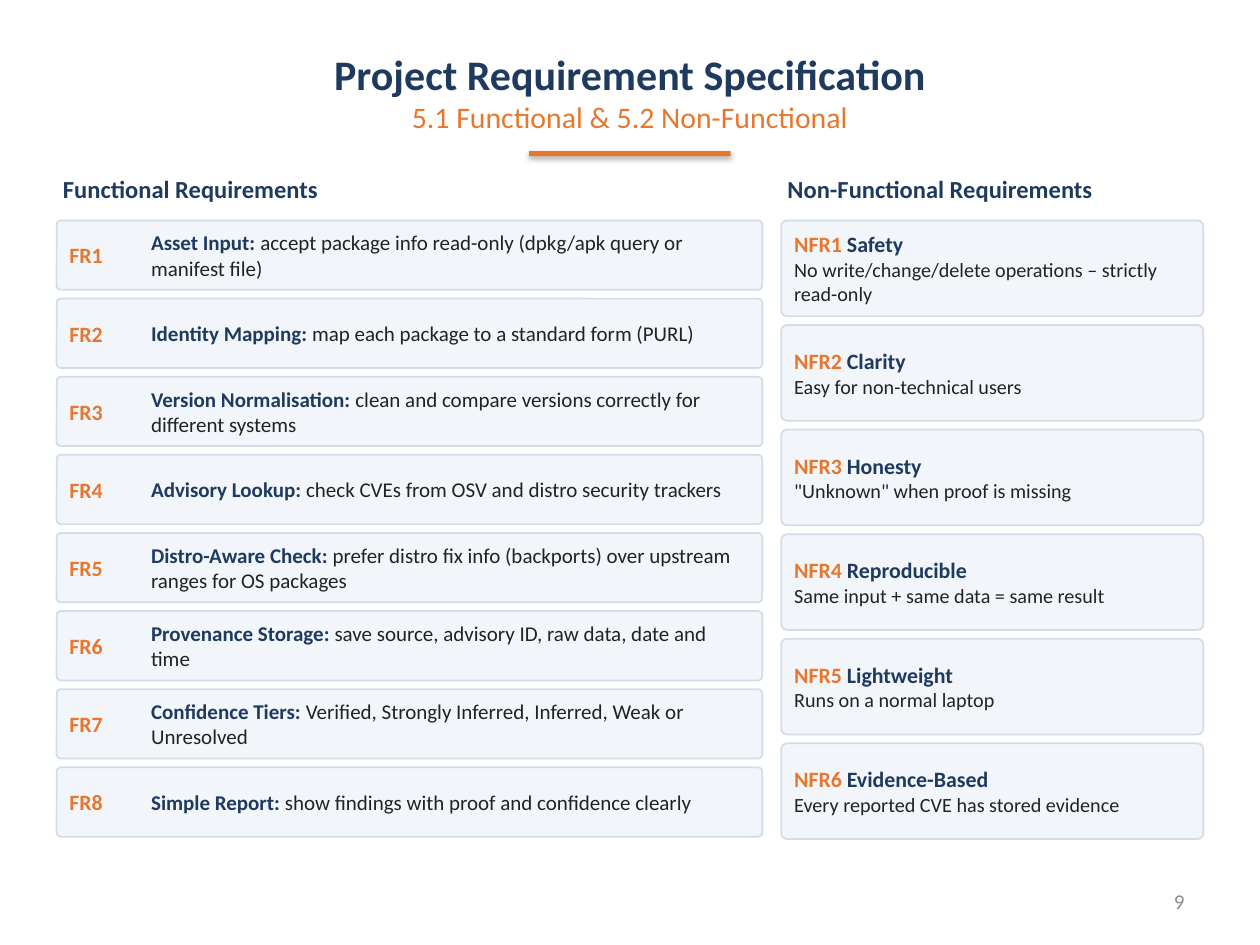
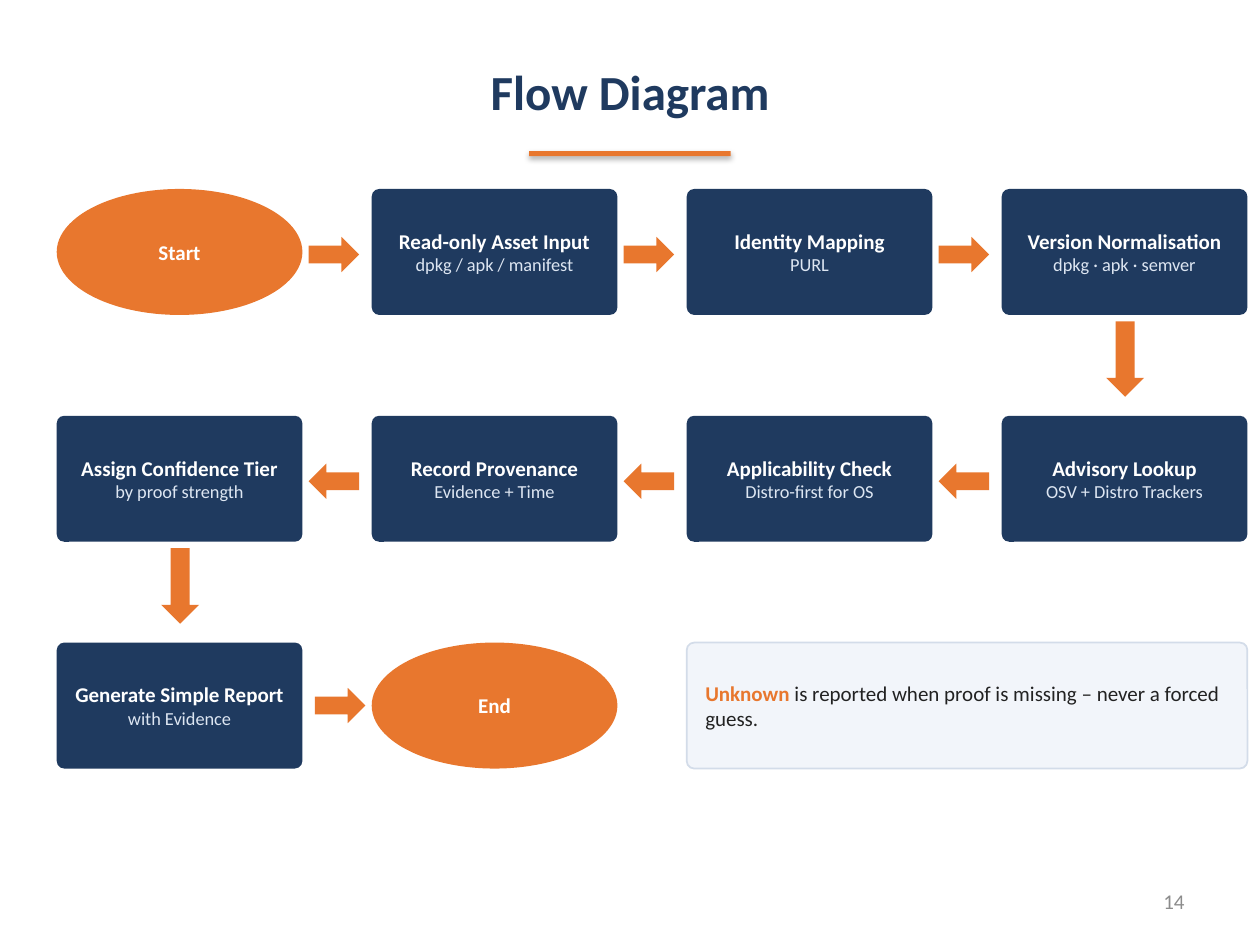
import pptx
import pptx.dml.color
import pptx.enum.shapes
import pptx.enum.text
import pptx.util

PX = 9144  # 100 px to the inch
FONT = "Calibri"
NAVY, ORANGE, WHITE = "1F3A5F", "E8772E", "FFFFFF"
INK, GREY, PALE_BLUE = "222222", "8C8C8C", "DDE6F2"
CARD_FILL, CARD_LINE = "F2F5FA", "D3DCE9"

SHAPES = pptx.enum.shapes.MSO_SHAPE
ALIGN = pptx.enum.text.PP_ALIGN
ANCHOR = pptx.enum.text.MSO_ANCHOR
TIGHT = (5, 3, 5, 3)

FUNCTIONAL = [
    ("Asset Input", "accept package info read-only (dpkg/apk query or manifest file)"),
    ("Identity Mapping", "map each package to a standard form (PURL)"),
    ("Version Normalisation", "clean and compare versions correctly for different systems"),
    ("Advisory Lookup", "check CVEs from OSV and distro security trackers"),
    ("Distro-Aware Check", "prefer distro fix info (backports) over upstream ranges for OS packages"),
    ("Provenance Storage", "save source, advisory ID, raw data, date and time"),
    ("Confidence Tiers", "Verified, Strongly Inferred, Inferred, Weak or Unresolved"),
    ("Simple Report", "show findings with proof and confidence clearly"),
]
NON_FUNCTIONAL = [
    ("Safety", "No write/change/delete operations – strictly read-only"),
    ("Clarity", "Easy for non-technical users"),
    ("Honesty", '"Unknown" when proof is missing'),
    ("Reproducible", "Same input + same data = same result"),
    ("Lightweight", "Runs on a normal laptop"),
    ("Evidence-Based", "Every reported CVE has stored evidence"),
]
# Each step: column, row, heading, detail (no detail marks a start or end point)
STEPS = [
    (0, 0, "Start", None),
    (1, 0, "Read-only Asset Input", "dpkg / apk / manifest"),
    (2, 0, "Identity Mapping", "PURL"),
    (3, 0, "Version Normalisation", "dpkg · apk · semver"),
    (3, 1, "Advisory Lookup", "OSV + Distro Trackers"),
    (2, 1, "Applicability Check", "Distro-first for OS"),
    (1, 1, "Record Provenance", "Evidence + Time"),
    (0, 1, "Assign Confidence Tier", "by proof strength"),
    (0, 2, "Generate Simple Report", "with Evidence"),
    (1, 2, "End", None),
]
NODE_WIDTH, NODE_HEIGHT = 195, 100
COLUMN_STEP, ROW_STEP = 250, 180


def color(hex_text):
    return pptx.dml.color.RGBColor.from_string(hex_text)


def emu(*lengths):
    return [length * PX for length in lengths]


def write(shape, paragraphs, align=ALIGN.LEFT, anchor=ANCHOR.MIDDLE, margins=TIGHT):
    """Fill a shape with paragraphs, each a list of (text, size, color, bold) runs."""
    frame = shape.text_frame
    frame.word_wrap = True
    frame.vertical_anchor = anchor
    (frame.margin_left, frame.margin_top,
     frame.margin_right, frame.margin_bottom) = emu(*margins)
    for index, runs in enumerate(paragraphs):
        paragraph = frame.add_paragraph() if index else frame.paragraphs[0]
        paragraph.alignment = align
        for text, size, hex_text, bold in runs:
            run = paragraph.add_run()
            run.text = text
            run.font.name = FONT
            run.font.size = pptx.util.Pt(size)
            run.font.bold = bold
            run.font.color.rgb = color(hex_text)


def add_text(slide, box, paragraphs, **layout):
    write(slide.shapes.add_textbox(*emu(*box)), paragraphs, **layout)


def add_block(slide, kind, box, fill, line=None):
    shape = slide.shapes.add_shape(kind, *emu(*box))
    shape.shadow.inherit = False
    shape.fill.solid()
    shape.fill.fore_color.rgb = color(fill)
    if line:
        shape.line.color.rgb = color(line)
        shape.line.width = pptx.util.Pt(1)
    else:
        shape.line.fill.background()
    if kind == SHAPES.ROUNDED_RECTANGLE:
        shape.adjustments[0] = 0.06
    return shape


def add_card(slide, box):
    return add_block(slide, SHAPES.ROUNDED_RECTANGLE, box, CARD_FILL, CARD_LINE)


def add_base_slide(presentation, title_lines, number):
    """Add a slide with the shared title, accent rule and slide number."""
    slide = presentation.slides.add_slide(presentation.slide_layouts[6])
    add_text(slide, (50, 25, 900, 95), title_lines, align=ALIGN.CENTER,
             margins=(10, 5, 10, 5))
    add_text(slide, (717, 695, 233, 40), [[(number, 12, GREY, False)]],
             align=ALIGN.RIGHT, margins=(10, 5, 10, 5))
    rule = add_block(slide, SHAPES.RECTANGLE, (420, 120, 160, 4), ORANGE)
    rule.shadow.inherit = True  # the theme's soft drop shadow
    return slide


def add_column_heading(slide, left, top, width, text):
    add_text(slide, (left, top, width, 35), [[(text, 14, NAVY, True)]],
             anchor=ANCHOR.TOP)


def add_functional_column(slide, left, top):
    add_column_heading(slide, left, top, 550, "Functional Requirements")
    for index, (name, detail) in enumerate(FUNCTIONAL):
        card_top = top + 40 + index * 62
        card = add_card(slide, (left, card_top, 560, 55))
        write(card, [[(f"{name}: ", 12, NAVY, True), (detail, 12, INK, False)]],
              margins=(74, 3, 9, 3))
        add_text(slide, (left + 5, card_top, 65, 55),
                 [[(f"FR{index + 1}", 12.5, ORANGE, True)]])


def add_non_functional_column(slide, left, top):
    add_column_heading(slide, left, top, 340, "Non-Functional Requirements")
    for index, (name, detail) in enumerate(NON_FUNCTIONAL):
        card = add_card(slide, (left, top + 40 + index * 83, 335, 76))
        write(card, [[(f"NFR{index + 1} ", 12.5, ORANGE, True), (name, 12.5, NAVY, True)],
                     [(detail, 11.5, INK, False)]], margins=(9, 3, 9, 3))


def add_node(slide, left, top, heading, detail):
    lines = [[(heading, 12, WHITE, True)]]
    kind, fill = SHAPES.OVAL, ORANGE
    if detail:
        lines.append([(detail, 10.5, PALE_BLUE, False)])
        kind, fill = SHAPES.ROUNDED_RECTANGLE, NAVY
    node = add_block(slide, kind, (left, top, NODE_WIDTH, NODE_HEIGHT), fill)
    write(node, lines, align=ALIGN.CENTER)


def add_flow(slide, left, top):
    def corner(column, row):
        return left + column * COLUMN_STEP, top + row * ROW_STEP

    for column, row, heading, detail in STEPS:
        add_node(slide, *corner(column, row), heading, detail)
    for (column, row, *_), (next_column, next_row, *_) in zip(STEPS, STEPS[1:]):
        x, y = corner(min(column, next_column), row)
        if next_row > row:
            kind, box = SHAPES.DOWN_ARROW, (x + 83, y + NODE_HEIGHT + 5, 30, 60)
        else:
            kind = SHAPES.RIGHT_ARROW if next_column > column else SHAPES.LEFT_ARROW
            # The arrow in the last row sits slightly closer to the end point
            shift_x, shift_y = (5, -2) if row == 2 else (0, 0)
            box = (x + NODE_WIDTH + 5 + shift_x, y + 38 + shift_y, 40, 28)
        add_block(slide, kind, box, ORANGE)

    note = add_card(slide, (*corner(2, 2), COLUMN_STEP + NODE_WIDTH, NODE_HEIGHT))
    write(note, [[("Unknown ", 12, ORANGE, True),
                  ("is reported when proof is missing – never a forced guess.",
                   12, INK, False)]], margins=(13, 3, 8, 3))


def add_requirements_slide(presentation):
    slide = add_base_slide(presentation, [
        [("Project Requirement Specification", 24, NAVY, True)],
        [("5.1 Functional & 5.2 Non-Functional", 17, ORANGE, False)],
    ], "9")
    add_functional_column(slide, 45, 135)
    add_non_functional_column(slide, 620, 135)


def add_flow_slide(presentation):
    slide = add_base_slide(presentation, [[("Flow Diagram", 28, NAVY, True)]], "14")
    add_flow(slide, 45, 150)


def main():
    presentation = pptx.Presentation()
    presentation.slide_width, presentation.slide_height = emu(1000, 750)
    add_requirements_slide(presentation)
    add_flow_slide(presentation)
    presentation.save("out.pptx")


if __name__ == "__main__":
    main()
